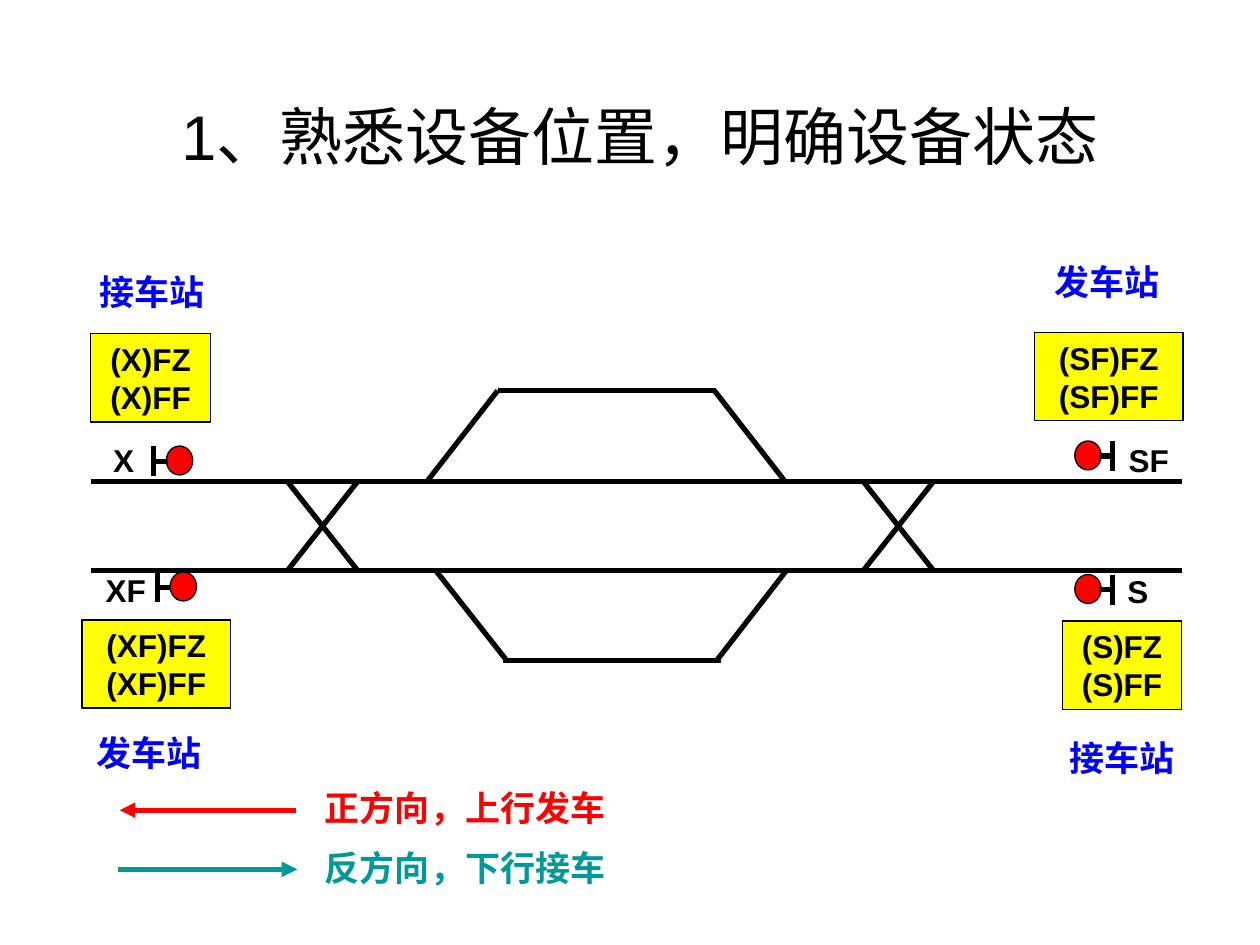
from dataclasses import dataclass

from lxml.etree import SubElement
from pptx import Presentation
from pptx.dml.color import RGBColor
from pptx.enum.shapes import MSO_CONNECTOR, MSO_SHAPE
from pptx.enum.text import MSO_ANCHOR, PP_ALIGN
from pptx.oxml.ns import qn
from pptx.util import Inches, Pt

BLACK, RED, YELLOW, BLUE, TEAL = "000000", "FF0000", "FFFF00", "0000FF", "009999"
UP_Y, DOWN_Y = 3.82, 4.53  # the two main tracks


@dataclass
class Signal:
    name: str
    mast_x: float
    top: float
    side: int  # 1: lamp right of the mast, -1: lamp left of it
    label: tuple[float, float, float]  # left, top, width
    box: tuple[float, float, float]


@dataclass
class Caption:
    text: str
    left: float
    top: float
    width: float = 1.07
    color: str = BLUE


@dataclass
class Direction:
    start: float
    end: float
    y: float
    caption: Caption


SIGNALS = [
    Signal("X", 1.22, 3.54, 1, (0.8, 3.45, 0.44), (0.72, 2.65, 0.95)),
    Signal("XF", 1.25, 4.54, 1, (0.74, 4.48, 0.63), (0.65, 4.92, 1.18)),
    Signal("SF", 8.83, 3.5, -1, (8.86, 3.45, 0.63), (8.21, 2.64, 1.18)),
    Signal("S", 8.83, 4.56, -1, (8.85, 4.49, 0.63), (8.43, 4.93, 0.95)),
]
STATIONS = [
    Caption("接车站", 0.69, 2.1),
    Caption("接车站", 8.39, 5.8),
    Caption("发车站", 0.67, 5.76),
    Caption("发车站", 8.27, 2.02),
]
DIRECTIONS = [
    Direction(2.35, 0.95, 6.43, Caption("正方向，上行发车", 2.48, 6.19, 2.52, RED)),
    Direction(0.94, 2.36, 6.9, Caption("反方向，下行接车", 2.48, 6.67, 2.52, TEAL)),
]
TRACKS = [
    # main tracks
    (0.72, UP_Y, 9.38, UP_Y),
    (0.72, DOWN_Y, 9.38, DOWN_Y),
    # upper siding
    (3.95, 3.1, 5.68, 3.1),
    (3.95, 3.1, 3.39, UP_Y),
    (5.67, 3.1, 6.23, UP_Y),
    # lower siding
    (3.99, 5.24, 5.72, 5.24),
    (3.46, DOWN_Y, 4.02, 5.24),
    (6.24, DOWN_Y, 5.69, 5.24),
]
CROSSOVERS, CROSSOVER_WIDTH = (2.28, 6.85), 0.56


def rgb(color: str) -> RGBColor:
    return RGBColor.from_string(color)


def add_line(s, x1: float, y1: float, x2: float, y2: float,
             color: str = BLACK, arrow: bool = False) -> None:
    line = s.shapes.add_connector(MSO_CONNECTOR.STRAIGHT, *map(Inches, (x1, y1, x2, y2)))
    line.line.color.rgb = rgb(color)
    line.line.width = Pt(3)
    props = line._element.spPr
    if arrow:
        SubElement(props.find(qn("a:ln")), qn("a:tailEnd"), type="triangle")
    SubElement(props, qn("a:effectLst"))


def add_filled(s, kind: MSO_SHAPE, left: float, top: float,
               width: float, height: float, color: str):
    sp = s.shapes.add_shape(kind, *map(Inches, (left, top, width, height)))
    sp.shadow.inherit = False
    sp.fill.solid()
    sp.fill.fore_color.rgb = rgb(color)
    sp.line.color.rgb = rgb(BLACK)
    sp.line.width = Pt(0.75)
    return sp


def set_text(sp, text: str, size: int, color: str, bold: bool = True,
             align: PP_ALIGN = PP_ALIGN.LEFT, anchor: MSO_ANCHOR = MSO_ANCHOR.TOP) -> None:
    tf = sp.text_frame
    tf.word_wrap = True
    tf.vertical_anchor = anchor
    tf.text = text
    for p in tf.paragraphs:
        p.alignment = align
        p.font.name = "Arial"
        p.font.size = Pt(size)
        p.font.bold = bold
        p.font.color.rgb = rgb(color)


def add_label(s, text: str, left: float, top: float, width: float,
              height: float, size: int, color: str) -> None:
    sp = s.shapes.add_textbox(*map(Inches, (left, top, width, height)))
    set_text(sp, text, size, color)


def add_caption(s, c: Caption) -> None:
    add_label(s, c.text, c.left, c.top, c.width, 0.44, 20, c.color)


def add_signal(s, sig: Signal) -> None:
    x, mid = sig.mast_x, sig.top + 0.12
    add_line(s, x, sig.top, x, sig.top + 0.24)
    add_filled(s, MSO_SHAPE.OVAL, x + sig.side * 0.2 - 0.1, sig.top, 0.21, 0.23, RED)
    add_line(s, x, mid, x + sig.side * 0.11, mid)
    add_label(s, sig.name, *sig.label, 0.4, 18, BLACK)
    box = add_filled(s, MSO_SHAPE.RECTANGLE, *sig.box, 0.7, YELLOW)
    set_text(box, f"({sig.name})FZ\n({sig.name})FF", 18, BLACK, align=PP_ALIGN.CENTER)


def main() -> None:
    prs = Presentation()
    prs.slide_width, prs.slide_height = Inches(10), Inches(7.5)
    s = prs.slides.add_slide(prs.slide_layouts[5])

    # Title
    title = s.shapes.title
    title.left, title.top, title.width, title.height = map(Inches, (0.51, 0.68, 9, 0.79))
    set_text(title, " 1、熟悉设备位置，明确设备状态", 36, BLACK, bold=False,
             align=PP_ALIGN.CENTER, anchor=MSO_ANCHOR.MIDDLE)

    # Track layout
    for track in TRACKS:
        add_line(s, *track)
    for left in CROSSOVERS:
        right = left + CROSSOVER_WIDTH
        add_line(s, left, UP_Y, right, DOWN_Y)
        add_line(s, right, UP_Y, left, DOWN_Y)

    # Signals with their names and direction boxes
    for sig in SIGNALS:
        add_signal(s, sig)

    # Station roles
    for station in STATIONS:
        add_caption(s, station)

    # Running directions
    for d in DIRECTIONS:
        add_line(s, d.start, d.y, d.end, d.y, d.caption.color, arrow=True)
        add_caption(s, d.caption)

    prs.save("out.pptx")


if __name__ == "__main__":
    main()
